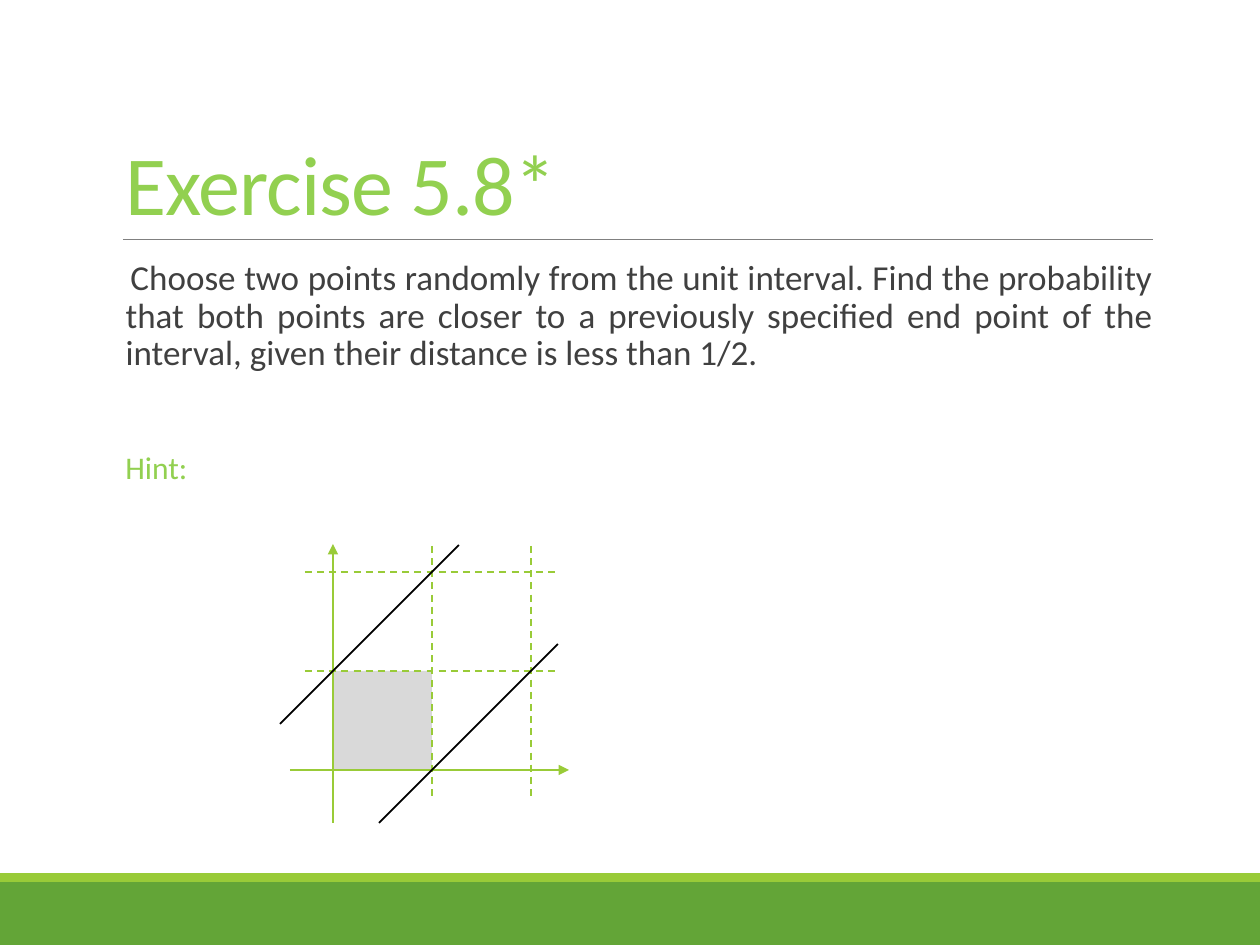
from lxml.etree import SubElement
from pptx import Presentation
from pptx.dml.color import RGBColor
from pptx.enum.dml import MSO_LINE
from pptx.enum.shapes import MSO_CONNECTOR, MSO_SHAPE
from pptx.enum.text import MSO_ANCHOR, PP_ALIGN
from pptx.oxml.ns import qn
from pptx.util import Emu, Pt

PX = 914400 / 126
FONT = "Calibri"
GREEN = "99CB38"
LIME = "92D050"


def px(n):
    return Emu(round(n * PX))


def color(value):
    return RGBColor.from_string(value)


def rect(s, x, y, w, h, fill):
    sp = s.shapes.add_shape(MSO_SHAPE.RECTANGLE, px(x), px(y), px(w), px(h))
    sp.shadow.inherit = False
    sp.fill.solid()
    sp.fill.fore_color.rgb = color(fill)
    sp.line.fill.background()
    return sp


def line(s, x1, y1, x2, y2, stroke, width=1, dash=False, arrow=False):
    c = s.shapes.add_connector(MSO_CONNECTOR.STRAIGHT, px(x1), px(y1), px(x2), px(y2))
    c.line.color.rgb = color(stroke)
    c.line.width = Pt(width)
    if dash:
        c.line.dash_style = MSO_LINE.DASH
    if arrow:
        SubElement(c.line._get_or_add_ln(), qn("a:tailEnd"), type="triangle")
    SubElement(c._element.spPr, qn("a:effectLst"))
    return c


def text(s, x, y, w, h, words, size, fill, wrap=True):
    tf = s.shapes.add_textbox(px(x), px(y), px(w), px(h)).text_frame
    tf.word_wrap = wrap
    p = tf.paragraphs[0]
    r = p.add_run()
    r.text = words
    r.font.name = FONT
    r.font.size = Pt(size)
    r.font.color.rgb = color(fill)
    return tf, p, r


def footer(s, x, y, w, h):
    stripe = 9
    rect(s, x, y + stripe, w, h - stripe, "63A537")
    rect(s, x, y, w, stripe, GREEN)


def title(s, x, y, w, h):
    line(s, x + 10, y + h, x + w, y + h, "808080", 0.5)
    tf, p, r = text(s, x, y, w, h, "Exercise 5.8*", 48, LIME)
    tf.vertical_anchor = MSO_ANCHOR.BOTTOM
    p.line_spacing = 0.85
    r.font._element.set("spc", "-50")


def body(s, x, y, w, h):
    words = ("Choose two points randomly from the unit interval. Find the probability "
             "that both points are closer to a previously specified end point of the "
             "interval, given their distance is less than 1/2.")
    tf, p, r = text(s, x, y, w, h, words, 20, "404040")
    tf.margin_left = tf.margin_right = 0
    p.alignment = PP_ALIGN.JUSTIFY
    p.line_spacing = 0.9
    p.space_after = Pt(2)
    pPr = p._p.get_or_add_pPr()
    pPr.set("marL", "91440")
    pPr.set("indent", "-91440")
    SubElement(SubElement(pPr, qn("a:buClr")), qn("a:srgbClr"), val=GREEN)
    SubElement(pPr, qn("a:buChar"), char=" ")
    text(s, x, y + 188, 88, 50, "Hint:", 18, LIME, wrap=False)


def diagram(s, x, y, w, h):
    half = 99
    ox, oy = x + 52, y + 226
    rect(s, ox, oy - half, half, half, "D9D9D9")
    line(s, x + 9, oy, x + w, oy, GREEN, arrow=True)
    line(s, ox, y + h, ox, y, GREEN, arrow=True)
    for n in (2, 1):
        line(s, x + 24, oy - n * half, x + 278, oy - n * half, GREEN, dash=True)
    for n in (1, 2):
        line(s, ox + n * half, y + 2, ox + n * half, y + 255, GREEN, dash=True)
    below, above = 53, 126
    for cx, cy in ((ox + half, oy), (ox, oy - half)):
        line(s, cx - below, cy + below, cx + above, cy - above, "000000")


def main():
    prs = Presentation()
    prs.slide_width, prs.slide_height = px(1260), px(945)
    s = prs.slides.add_slide(prs.slide_layouts[6])
    footer(s, 0, 873, 1260, 72)
    title(s, 113, 39, 1040, 200)
    body(s, 113, 254, 1040, 555)
    diagram(s, 281, 544, 288, 279)
    prs.save("out.pptx")


if __name__ == "__main__":
    main()
